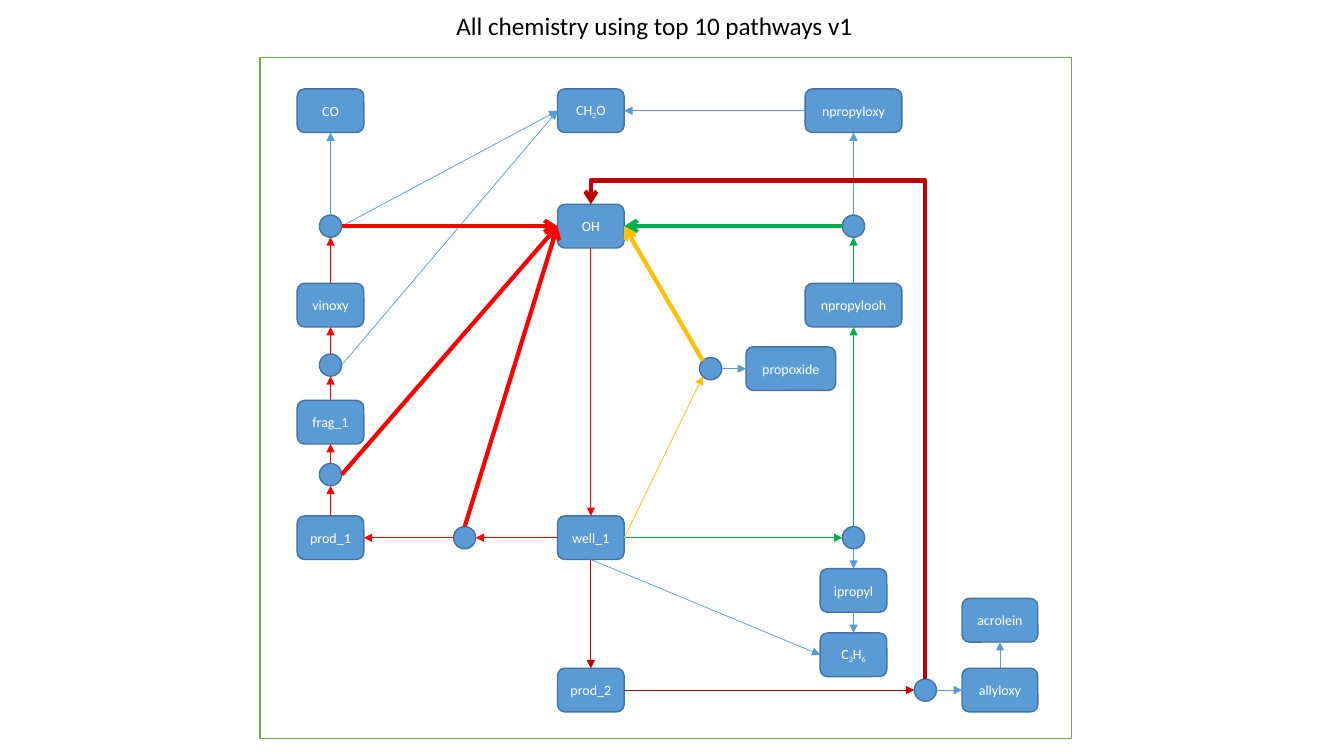
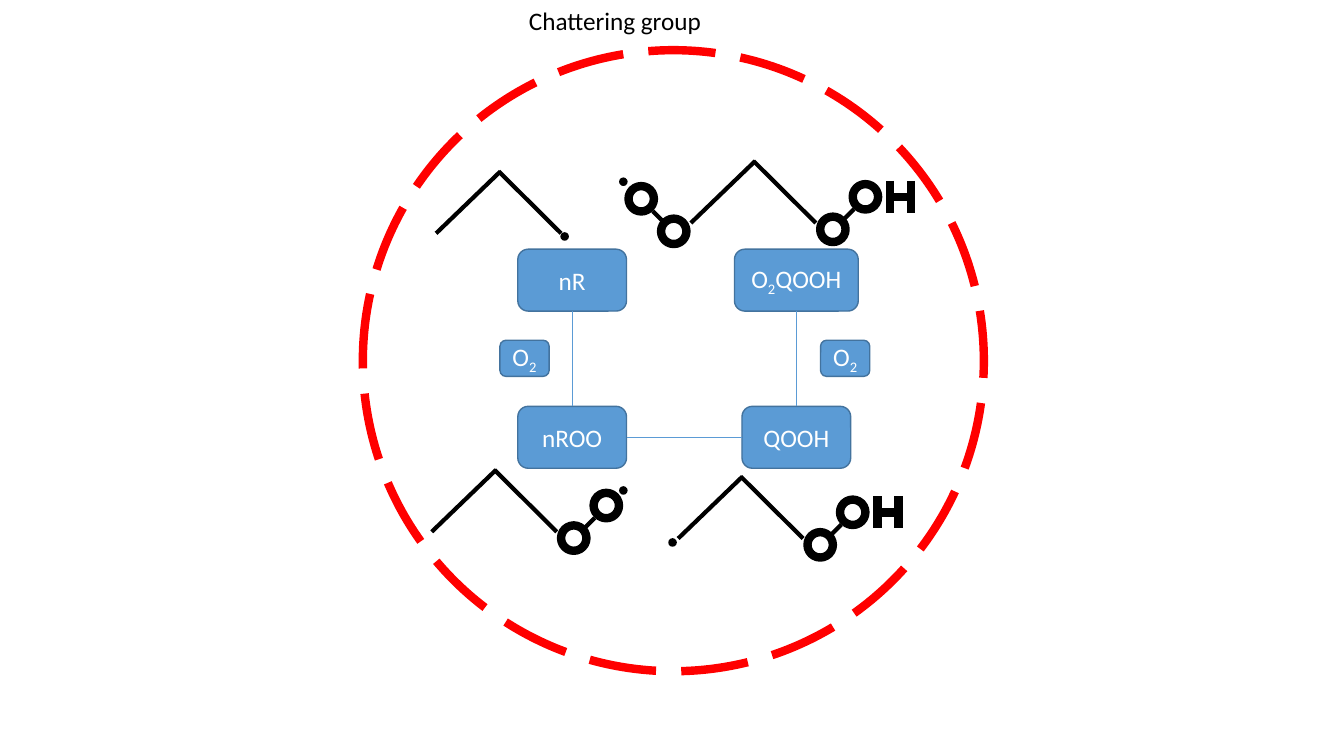
from dataclasses import dataclass
from math import sqrt

from lxml import etree
from pptx import Presentation
from pptx import util as u
from pptx.dml.color import RGBColor
from pptx.enum import dml, shapes, text
from pptx.oxml.ns import qn


@dataclass(frozen=True)
class Theme:
    font: str = "Calibri"
    title: int = 18
    node: int = 10
    group: int = 18
    thin: float = 0.5
    outline: float = 1
    thick: float = 3
    atom: float = 6
    white: str = "FFFFFF"
    black: str = "000000"
    blue: str = "5B9BD5"
    edge: str = "43739E"
    frame: str = "70AD47"
    red: str = "FF0000"
    green: str = "00B050"
    amber: str = "FFC000"
    crimson: str = "C00000"


THEME = Theme()
SHAPE = shapes.MSO_SHAPE
DIAGONAL = sqrt(0.5)
DIRECTIONS = {
    "N": (0, -1), "NW": (-DIAGONAL, -DIAGONAL), "W": (-1, 0), "SW": (-DIAGONAL, DIAGONAL),
    "S": (0, 1), "SE": (DIAGONAL, DIAGONAL), "E": (1, 0), "NE": (DIAGONAL, -DIAGONAL),
}
SITES = {SHAPE.ROUNDED_RECTANGLE: ["N", "W", "S", "E"], SHAPE.OVAL: list(DIRECTIONS)}


def rgb(value):
    return RGBColor.from_string(value)


def apply(target, values):
    for name, value in values.items():
        setattr(target, name, value)


def write(box, label, size, color, align):
    para = box.text_frame.paragraphs[0]
    para.alignment = align
    for index, part in enumerate(label.split("~")):
        span = para.add_run()
        span.text = part
        apply(span.font, {"name": THEME.font, "size": u.Pt(size)})
        span.font.color.rgb = rgb(color)
        if index % 2:
            span.font._element.set("baseline", "-25000")


def add_title(page, label, left, top, width, wrap):
    box = page.shapes.add_textbox(u.Cm(left), u.Cm(top), u.Cm(width), u.Cm(1.02))
    apply(box.text_frame, {"word_wrap": wrap, "auto_size": text.MSO_AUTO_SIZE.SHAPE_TO_FIT_TEXT})
    write(box, label, THEME.title, THEME.black, text.PP_ALIGN.LEFT)


def add_figure(page, kind, center, size, fill, line, weight):
    (x, y), (width, height) = center, size
    figure = page.shapes.add_shape(
        kind, u.Cm(x - width / 2), u.Cm(y - height / 2), u.Cm(width), u.Cm(height))
    figure.shadow.inherit = False
    figure.fill.solid()
    figure.fill.fore_color.rgb = rgb(fill)
    figure.line.color.rgb = rgb(line)
    figure.line.width = u.Pt(weight)
    return figure


def add_node(page, label, center, size, points):
    node = add_figure(page, SHAPE.ROUNDED_RECTANGLE, center, size,
                      THEME.blue, THEME.edge, THEME.outline)
    apply(node.text_frame, {"word_wrap": True, "vertical_anchor": text.MSO_ANCHOR.MIDDLE})
    write(node, label, points, THEME.white, text.PP_ALIGN.CENTER)
    return node


def add_line(page, start, end, color, weight, head=None, kind=shapes.MSO_CONNECTOR.STRAIGHT):
    line = page.shapes.add_connector(kind, *(u.Cm(value) for value in (*start, *end)))
    line.line.color.rgb = rgb(color)
    line.line.width = u.Pt(weight)
    properties = line._element.spPr
    if head:
        etree.SubElement(properties.find(qn("a:ln")), qn("a:tailEnd"), type=head)
    etree.SubElement(properties, qn("a:effectLst"))
    return line


def anchor(figure, side):
    dx, dy = DIRECTIONS[side]
    return (u.Length(figure.left + figure.width * (1 + dx) / 2).cm,
            u.Length(figure.top + figure.height * (1 + dy) / 2).cm)


def add_link(page, start, end, color, weight=THEME.thin, head=None):
    line = add_line(page, anchor(*start), anchor(*end), color, weight, head)
    holder = line._element.nvCxnSpPr.cNvCxnSpPr
    for tag, (figure, side) in (("a:stCxn", start), ("a:endCxn", end)):
        site = SITES[figure.auto_shape_type].index(side)
        etree.SubElement(holder, qn(tag), id=str(figure.shape_id), idx=str(site))


def add_detour(page, start, end, color, reach):
    (x1, y1), (x2, y2) = anchor(*start), anchor(*end)
    line = add_line(page, (x2, y2), (x1, y1), color, THEME.thick, "arrow",
                    shapes.MSO_CONNECTOR.ELBOW)
    width, height = y1 - y2, x1 - x2
    apply(line, {
        "left": u.Cm((x1 + x2 - width) / 2), "top": u.Cm((y1 + y2 - height) / 2),
        "width": u.Cm(width), "height": u.Cm(height),
    })
    properties = line._element.spPr
    frame = properties.find(qn("a:xfrm"))
    for name, value in {"rot": "16200000", "flipV": "1"}.items():
        frame.set(name, value)
    guides = properties.find(qn("a:prstGeom")).find(qn("a:avLst"))
    etree.SubElement(guides, qn("a:gd"), name="adj1", fmla=f"val {round(reach * 100000)}")


def add_dot(page, center):
    add_figure(page, SHAPE.OVAL, center, (0.18, 0.18), THEME.black, THEME.black, THEME.outline)


def add_chain(page, peak):
    x, y = peak
    for foot, overlap in ((-1.6, 0.02), (1.55, -0.02)):
        add_line(page, (x + foot, y + 1.56), (x + overlap, y), THEME.black, THEME.thick)


def add_peroxy(page, near, side):
    x, y = near
    far = (x + side * 0.82, y - 0.82)
    for center in (near, far):
        add_figure(page, SHAPE.OVAL, center, (0.64, 0.64), THEME.white, THEME.black, THEME.atom)
    add_line(page, (x + side * 0.29, y - 0.27), (x + side * 0.53, y - 0.51),
             THEME.black, THEME.thick)
    return far


def add_hydrogen(page, oxygen):
    x, y = oxygen
    left, right, half = x + 0.62, x + 1.15, 0.4
    for start, end in (((left, y - half), (left, y + half)),
                       ((right, y - half), (right, y + half)),
                       ((left, y), (right, y))):
        add_line(page, start, end, THEME.black, THEME.atom)


def add_molecule(page, peak, dot, right_oxygen=False, hydrogen=False, left_oxygen=False):
    x, y = peak
    add_chain(page, peak)
    if right_oxygen:
        far = add_peroxy(page, (x + 1.98, y + 1.72), 1)
        if hydrogen:
            add_hydrogen(page, far)
    if left_oxygen:
        add_peroxy(page, (x - 2.03, y + 1.77), -1)
    add_dot(page, (x + dot[0], y + dot[1]))


def build_pathways(page):
    add_figure(page, SHAPE.RECTANGLE, (16.78, 10.03), (20.45, 17.17),
               THEME.white, THEME.frame, THEME.outline)
    left, middle, right, outer = 8.33, 14.89, 21.51, 25.2
    top, oh_row, upper, well_row, bottom = 2.79, 5.7, 7.69, 13.55, 17.39
    small, medium, large, wide = 1.68, 1.91, 2.26, 2.44
    nodes = {
        "prod_1": (left, well_row, small),
        "frag_1": (left, 10.64, small),
        "vinoxy": (left, upper, small),
        "CH~2~O": (middle, top, small),
        "CO": (left, top, small),
        "well_1": (middle, well_row, small),
        "ipropyl": (right, 14.88, small),
        "C~3~H~6~": (right, 16.5, small),
        "prod_2": (middle, bottom, small),
        "allyloxy": (outer, bottom, medium),
        "acrolein": (outer, 15.63, medium),
        "propoxide": (19.93, 9.29, large),
        "npropylooh": (right, upper, wide),
        "npropyloxy": (right, top, wide),
        "OH": (middle, oh_row, small),
    }
    joints = {
        "vinoxy split": (left, oh_row),
        "frag split": (left, 9.2),
        "prod_1 split": (left, 11.96),
        "well split": (11.71, well_row),
        "propyl split": (right, well_row),
        "propoxide split": (17.91, 9.29),
        "prod_2 split": (23.32, bottom),
        "npropylooh split": (right, oh_row),
    }
    figures = {label: add_node(page, label, (x, y), (width, 1.1), THEME.node)
               for label, (x, y, width) in nodes.items()}
    for name, center in joints.items():
        figures[name] = add_figure(page, SHAPE.OVAL, center, (0.56, 0.56),
                                   THEME.blue, THEME.edge, THEME.outline)
    steps = {
        THEME.blue: [
            ("well_1", "S", "C~3~H~6~", "W"),
            ("ipropyl", "S", "C~3~H~6~", "N"),
            ("vinoxy split", "E", "CH~2~O", "W"),
            ("vinoxy split", "N", "CO", "S"),
            ("frag split", "E", "CH~2~O", "W"),
            ("propyl split", "S", "ipropyl", "N"),
            ("propoxide split", "E", "propoxide", "W"),
            ("npropyloxy", "W", "CH~2~O", "E"),
            ("npropylooh split", "N", "npropyloxy", "S"),
            ("prod_2 split", "E", "allyloxy", "W"),
            ("allyloxy", "N", "acrolein", "S"),
        ],
        THEME.red: [
            ("OH", "S", "well_1", "N"),
            ("vinoxy", "N", "vinoxy split", "S"),
            ("frag_1", "N", "frag split", "S"),
            ("frag split", "N", "vinoxy", "S"),
            ("prod_1", "N", "prod_1 split", "S"),
            ("prod_1 split", "N", "frag_1", "S"),
            ("well_1", "W", "well split", "E"),
            ("well split", "W", "prod_1", "E"),
        ],
        THEME.green: [
            ("well_1", "E", "propyl split", "W"),
            ("propyl split", "N", "npropylooh", "S"),
            ("npropylooh", "N", "npropylooh split", "S"),
        ],
        THEME.amber: [("well_1", "E", "propoxide split", "SW")],
        THEME.crimson: [
            ("well_1", "S", "prod_2", "N"),
            ("prod_2", "E", "prod_2 split", "W"),
        ],
    }
    for color, links in steps.items():
        for start, exit_side, end, entry_side in links:
            add_link(page, (figures[start], exit_side), (figures[end], entry_side),
                     color, head="triangle")
    hydroxyl = figures["OH"]
    for start, exit_side, entry_side, color in (
        ("vinoxy split", "E", "W", THEME.red),
        ("npropylooh split", "W", "E", THEME.green),
        ("well split", "N", "W", THEME.red),
        ("prod_1 split", "E", "W", THEME.red),
        ("propoxide split", "NW", "E", THEME.amber),
    ):
        add_link(page, (figures[start], exit_side), (hydroxyl, entry_side),
                 color, THEME.thick, "arrow")
    add_detour(page, (figures["prod_2 split"], "N"), (hydroxyl, "N"), THEME.crimson, 1.05)
    add_title(page, "All chemistry using top 10 pathways v1", 11.25, 0.13, 10.62, False)


def build_chattering(page):
    add_title(page, "Chattering group", 13.08, 0, 5.08, True)
    ring = add_figure(page, SHAPE.OVAL, (16.97, 9.09), (15.65, 15.65),
                      THEME.white, THEME.red, THEME.atom)
    ring.line.dash_style = dml.MSO_LINE.LONG_DASH
    left, right, upper, lower = 14.42, 20.07, 7.06, 11.02
    nodes = {
        "nR": (left, upper, 2.74),
        "nROO": (left, lower, 2.74),
        "QOOH": (right, lower, 2.74),
        "O~2~QOOH": (right, upper, 3.12),
    }
    figures = {label: add_node(page, label, (x, y), (width, 1.56), THEME.group)
               for label, (x, y, width) in nodes.items()}
    for x in (13.22, 21.3):
        add_node(page, "O~2~", (x, 9.03), (1.24, 0.91), THEME.group)
    add_molecule(page, (12.59, 4.32), (1.64, 1.64))
    add_molecule(page, (12.48, 11.84), (3.23, 0.52), right_oxygen=True)
    add_molecule(page, (18.69, 12.01), (-1.74, 1.66), right_oxygen=True, hydrogen=True)
    add_molecule(page, (19.01, 4.06), (-3.3, 0.52), right_oxygen=True, hydrogen=True,
                 left_oxygen=True)
    for start, exit_side, end, entry_side in (
        ("nR", "S", "nROO", "N"),
        ("O~2~QOOH", "S", "QOOH", "N"),
        ("nROO", "E", "QOOH", "W"),
    ):
        add_link(page, (figures[start], exit_side), (figures[end], entry_side), THEME.blue)


def main():
    deck = Presentation()
    apply(deck, {"slide_width": u.Cm(33.87), "slide_height": u.Cm(19.05)})
    for build in (build_pathways, build_chattering):
        build(deck.slides.add_slide(deck.slide_layouts[6]))
    deck.save("out.pptx")


main()
